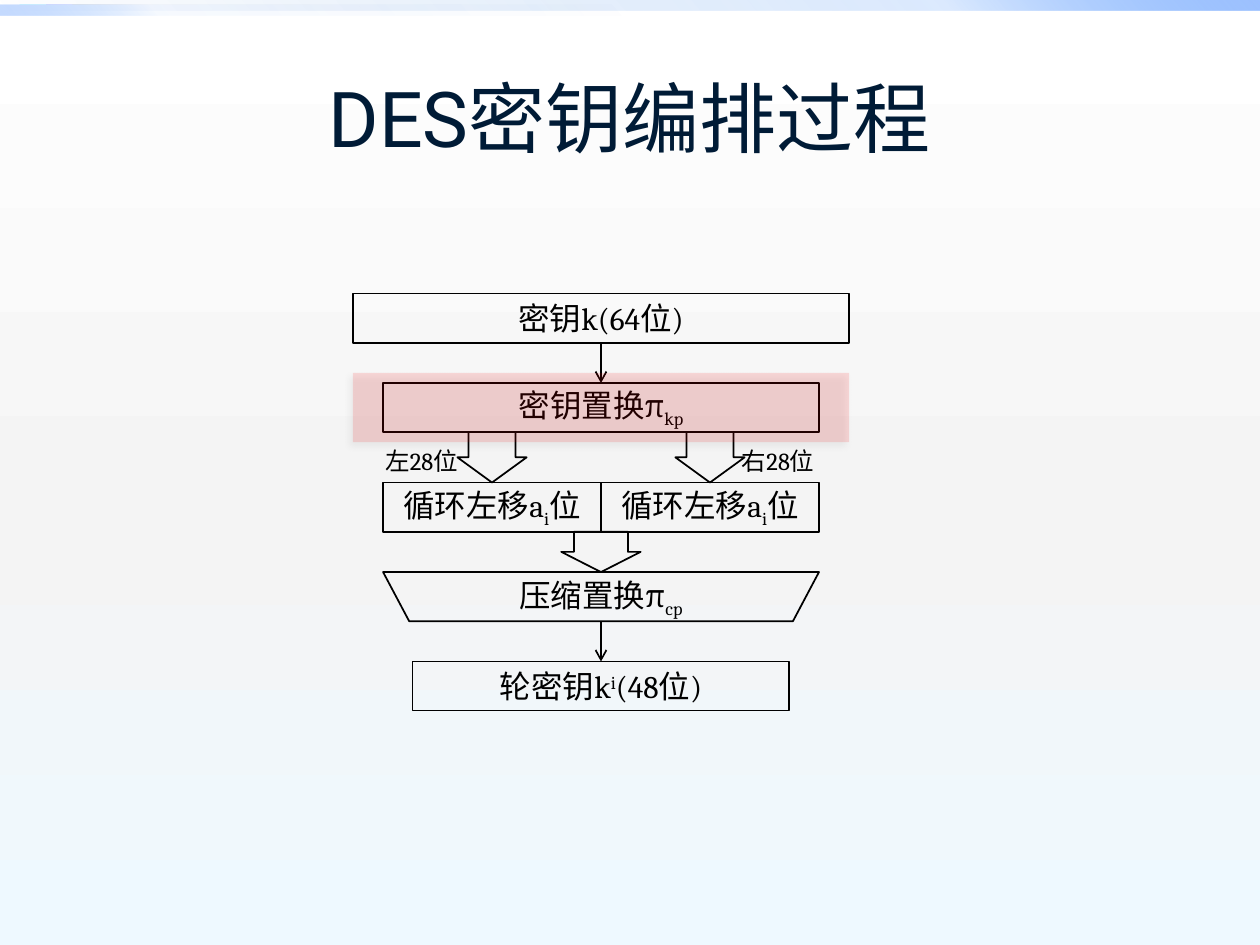
from dataclasses import dataclass

from lxml.etree import SubElement
from pptx import Presentation
from pptx.dml.color import RGBColor
from pptx.enum.shapes import MSO_CONNECTOR as Connector, MSO_SHAPE as Shape
from pptx.enum.text import MSO_ANCHOR as Anchor, PP_ALIGN as Align
from pptx.oxml.ns import qn
from pptx.util import Inches, Pt


@dataclass(frozen=True)
class Theme:
    ink: str = "000000"
    title: str = "001B36"
    highlight: str = "FF0000"
    body_font: str = "Cambria"
    title_font: str = "Roboto"
    title_size: int = 44
    body_size: int = 18
    label_size: int = 14
    line_width: int = 1
    # Gradient stops: position, colour, opacity (all percentages but the colour)
    backdrop: tuple = ((0, "FFFFFF", 100), (55, "F4F4F4", 100), (100, "EEF9FF", 100))
    top_band: tuple = ((0, "0058B7", 0), (75, "4F95FF", 20), (100, "9EC2FF", 100))
    left_band: tuple = ((0, "0058B7", 0), (75, "4F95FF", 5), (100, "9EC2FF", 60))


def add_alpha(color, percent):
    SubElement(color, qn("a:alpha"), val=str(percent * 1000))


def set_gradient(owner, fill, stops, angle):
    fill.gradient()
    gradient = owner.element.find(".//" + qn("a:gradFill"))
    stop_list = gradient.find(qn("a:gsLst"))
    for stop in list(stop_list):
        stop_list.remove(stop)
    for position, color, opacity in stops:
        stop = SubElement(stop_list, qn("a:gs"), pos=str(position * 1000))
        add_alpha(SubElement(stop, qn("a:srgbClr"), val=color), opacity)
    gradient.find(qn("a:lin")).set("ang", str(angle * 60000))


def write_text(box, *parts, size, font, color, align=Align.CENTER, wrap=True):
    """Each part is a string, or a (string, baseline percent) pair."""
    frame = box.text_frame
    frame.word_wrap = wrap
    frame.vertical_anchor = Anchor.MIDDLE
    para = frame.paragraphs[0]
    para.alignment = align
    for part in parts:
        text, baseline = (part, 0) if isinstance(part, str) else part
        span = para.add_run()
        span.text = text
        span.font.size = Pt(size)
        span.font.name = font
        span.font.color.rgb = RGBColor.from_string(color)
        if baseline:
            span.font._element.set("baseline", str(baseline * 1000))


class Builder:
    def __init__(self, page, theme):
        self.page = page
        self.theme = theme

    def backdrop(self):
        set_gradient(self.page, self.page.background.fill, self.theme.backdrop, 90)

    def shape(self, kind, left, top, width, height):
        shape = self.page.shapes.add_shape(
            kind, Inches(left), Inches(top), Inches(width), Inches(height))
        shape.shadow.inherit = False
        shape.line.fill.background()
        return shape

    def band(self, left, top, width, height, stops, angle):
        band = self.shape(Shape.RECTANGLE, left, top, width, height)
        set_gradient(band, band.fill, stops, angle)

    def outline(self, kind, left, top, width, height):
        shape = self.shape(kind, left, top, width, height)
        shape.fill.background()
        shape.line.color.rgb = RGBColor.from_string(self.theme.ink)
        shape.line.width = Pt(self.theme.line_width)
        return shape

    def step(self, center, top, width, height, *parts):
        box = self.outline(Shape.RECTANGLE, center - width / 2, top, width, height)
        write_text(box, *parts, size=self.theme.body_size, font=self.theme.body_font,
                   color=self.theme.ink, wrap=False)
        return box

    def trapezoid(self, center, top, width, height):
        shape = self.outline(Shape.TRAPEZOID, center - width / 2, top, width, height)
        shape.adjustments[0] = 0.53
        shape.rotation = 180

    def block_arrow(self, center, top, width, height):
        arrow = self.outline(Shape.DOWN_ARROW, center - width / 2, top, width, height)
        arrow.adjustments[0] = 0.68
        arrow.adjustments[1] = 0.5

    def text(self, left, top, width, height, *parts, **format):
        box = self.page.shapes.add_textbox(
            Inches(left), Inches(top), Inches(width), Inches(height))
        write_text(box, *parts, **format)

    def arrow(self, center, top, bottom, source=None, target=None):
        line = self.page.shapes.add_connector(
            Connector.STRAIGHT, Inches(center), Inches(top), Inches(center), Inches(bottom))
        if source:
            line.begin_connect(source, 2)
        if target:
            line.end_connect(target, 0)
        line.line.color.rgb = RGBColor.from_string(self.theme.ink)
        line.line.width = Pt(self.theme.line_width)
        SubElement(line.line._get_or_add_ln(), qn("a:tailEnd"), type="arrow")
        SubElement(line.element.spPr, qn("a:effectLst"))

    def highlight(self, left, top, width, height):
        shape = self.shape(Shape.RECTANGLE, left, top, width, height)
        shape.fill.solid()
        shape.fill.fore_color.rgb = RGBColor.from_string(self.theme.highlight)
        properties = shape.element.spPr
        add_alpha(properties.find(qn("a:solidFill")).find(qn("a:srgbClr")), 13)
        shadow = SubElement(
            properties.find(qn("a:effectLst")), qn("a:outerShdw"), blurRad=str(Pt(4)),
            dist=str(Pt(3)), dir=str(135 * 60000), rotWithShape="0")
        add_alpha(SubElement(shadow, qn("a:srgbClr"), val=self.theme.ink), 40)


def main():
    deck = Presentation()
    deck.slide_width, deck.slide_height = Inches(10), Inches(7.5)
    theme = Theme()
    build = Builder(deck.slides.add_slide(deck.slide_layouts[6]), theme)

    # Background, top bands and title
    build.backdrop()
    build.band(0, 0, 10, 0.08, theme.top_band, 315)
    build.band(0, 0.04, 5, 0.08, theme.left_band, 135)
    build.text(0.5, 0.3, 9, 1.25, "DES密钥编排过程", size=theme.title_size,
               font=theme.title_font, color=theme.title)

    # Rows of the flow, stacked on one centre line
    center, wide, middle, height = 4.77, 3.94, 3.46, 0.39
    half = middle / 2
    tops = [2.33]
    for gap in (0.32, 0.4, 0.32, 0.32):
        tops.append(tops[-1] + height + gap)
    key_top, permute_top, shift_top, compress_top, round_top = tops

    # Steps
    permute = build.step(center, permute_top, middle, height, "密钥置换π", ("kp", -25))
    key = build.step(center, key_top, wide, height, "密钥k(64位)")
    half_centers = (center - half / 2, center + half / 2)
    for x in half_centers:
        build.step(x, shift_top, half, height, "循环左移a", ("i", -25), "位")
    build.trapezoid(center, compress_top, middle, height)
    build.text(center - 1.14, compress_top, 2.28, 0.4, "压缩置换π", ("cp", -25),
               size=theme.body_size, font=theme.body_font, color=theme.ink)
    round_key = build.step(center, round_top, 2.99, height, "轮密钥k", ("i", 30), "(48位)")

    # Block arrows with their labels
    labels = (("左28位", 2.96), ("右28位", 5.79))
    for x, (label, left) in zip(half_centers, labels):
        build.block_arrow(x, permute_top + height, 0.55, shift_top - permute_top - height)
        build.text(left, 3.49, 0.87, 0.34, label, size=theme.label_size,
                   font=theme.body_font, color=theme.ink, align=Align.LEFT, wrap=False)
    build.block_arrow(center, shift_top + height, 0.63, compress_top - shift_top - height)

    # Thin arrows
    build.arrow(center, key_top + height, permute_top, source=key, target=permute)
    build.arrow(center, compress_top + height, round_top, target=round_key)

    # Highlight over the key permutation
    build.highlight(center - wide / 2, 2.96, wide, 0.55)

    deck.save("out.pptx")


if __name__ == "__main__":
    main()
